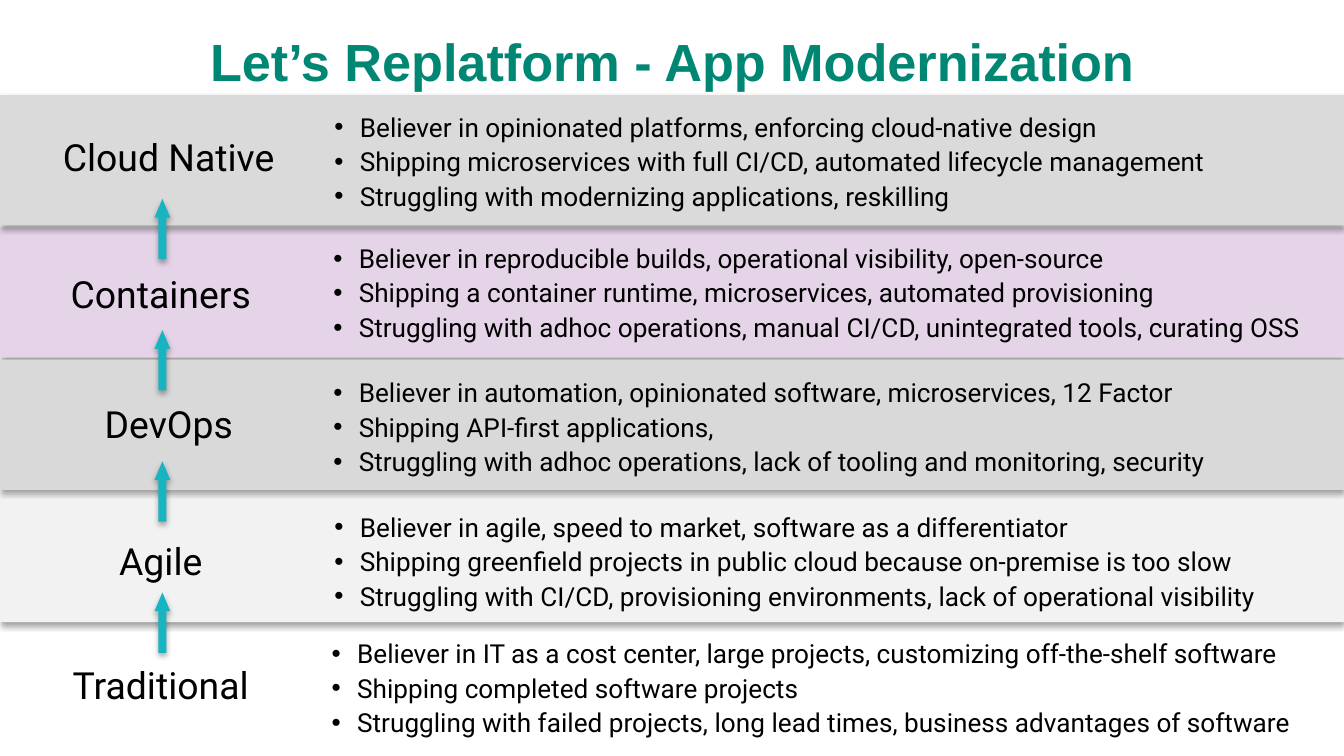
import dataclasses

import lxml.etree
import pptx
import pptx.dml.color
import pptx.enum.shapes
import pptx.enum.text
import pptx.oxml.ns
import pptx.util

Cm = pptx.util.Cm
Kind = pptx.enum.shapes.MSO_SHAPE
Align = pptx.enum.text.PP_ALIGN
COMPARE = 4  # layout with a title and four body placeholders


@dataclasses.dataclass(frozen=True)
class Theme:
    head: str = "008774"
    text: str = "000000"
    arrow: str = "19B4C1"
    bands: tuple = ("DADADA", "E5D4E8", "D9D9D9", "F2F2F2")
    head_font: str = "Arial"
    font: str = "Roboto"
    head_size: int = 28
    name_size: int = 20
    list_size: int = 14


# name, name left, name top, list left, list middle, points (lengths in cm)
STAGES = [
    ("Cloud Native", 0.51, 2.39, 6.07, 3.02, [
        "Believer in opinionated platforms, enforcing cloud-native design",
        "Shipping microservices with full CI/CD, automated lifecycle management",
        "Struggling with modernizing applications, reskilling"]),
    ("Containers", 0.36, 4.98, 6.05, 5.5, [
        "Believer in reproducible builds, operational visibility, open-source",
        "Shipping a container runtime, microservices, automated provisioning",
        "Struggling with adhoc operations, manual CI/CD, unintegrated tools, curating OSS"]),
    ("DevOps", 0.51, 7.44, 6.05, 8.04, [
        "Believer in automation, opinionated software, microservices, 12 Factor",
        "Shipping API-first applications,",
        "Struggling with adhoc operations, lack of tooling and monitoring, security"]),
    ("Agile", 0.36, 10.03, 6.07, 10.58, [
        "Believer in agile, speed to market, software as a differentiator",
        "Shipping greenfield projects in public cloud because on-premise is too slow",
        "Struggling with CI/CD, provisioning environments, lack of operational visibility"]),
    ("Traditional", 0.36, 12.37, 6.02, 12.97, [
        "Believer in IT as a cost center, large projects, customizing off-the-shelf software",
        "Shipping completed software projects",
        "Struggling with failed projects, long lead times, business advantages of software"]),
]


def tone(code):
    return pptx.dml.color.RGBColor.from_string(code)


def node(parent, tag, **attrs):
    return lxml.etree.SubElement(parent, pptx.oxml.ns.qn(tag), **attrs)


def put(para, text, font, size, color, bold=False, align=Align.LEFT):
    para.alignment = align
    run = para.add_run()
    run.text = text
    run.font.name = font
    run.font.size = pptx.util.Pt(size)
    run.font.bold = bold
    run.font.color.rgb = tone(color)


def shade(shape):
    """Replace the theme shadow by a soft one straight below."""
    shape.shadow.inherit = False
    effect = shape._element.spPr.find(pptx.oxml.ns.qn("a:effectLst"))
    drop = node(effect, "a:outerShdw", blurRad="39400", dist="22900",
                dir="5400000", rotWithShape="0")
    color = node(drop, "a:srgbClr", val="000000")
    node(color, "a:alpha", val="35000")


def bullet(para):
    props = para._p.get_or_add_pPr()
    props.set("marL", str(Cm(0.48)))
    props.set("indent", str(-Cm(0.48)))
    node(props, "a:buFont", typeface="Arial")
    node(props, "a:buChar", char="•")
    para.line_spacing = 1.1
    para.space_before = pptx.util.Pt(0)


class Deck:
    """Holds the theme and the slide being drawn."""

    def __init__(self, theme):
        self.theme = theme
        self.file = pptx.Presentation()
        self.file.slide_width, self.file.slide_height = Cm(25.4), Cm(14.29)
        self.slide = self.file.slides.add_slide(self.file.slide_layouts[COMPARE])
        self.spare = [hold for hold in self.slide.placeholders
                      if 1 <= hold.placeholder_format.idx <= 4]

    def place(self, box, left, top, width, height):
        """Move a text shape to the front and set its frame."""
        self.slide.shapes._spTree.append(box._element)
        box.left, box.top = Cm(left), Cm(top)
        box.width, box.height = Cm(width), Cm(height)
        frame = box.text_frame
        frame.word_wrap = True
        frame.auto_size = pptx.enum.text.MSO_AUTO_SIZE.NONE
        frame.vertical_anchor = pptx.enum.text.MSO_ANCHOR.MIDDLE
        frame.margin_left = frame.margin_right = Cm(0.25)
        frame.margin_top = frame.margin_bottom = Cm(0.13)
        return frame

    def blank(self):
        return self.slide.shapes.add_textbox(0, 0, 0, 0)

    def title(self, text):
        frame = self.place(self.slide.shapes.title, 0, 0.38, 25.4, 1.32)
        frame.margin_top, frame.margin_bottom = Cm(0.22), 0
        put(frame.paragraphs[0], text, font=self.theme.head_font,
            size=self.theme.head_size, color=self.theme.head,
            bold=True, align=Align.CENTER)

    def block(self, kind, left, top, width, height, color):
        shape = self.slide.shapes.add_shape(
            kind, Cm(left), Cm(top), Cm(width), Cm(height))
        shape.fill.solid()
        shape.fill.fore_color.rgb = tone(color)
        shape.line.fill.background()
        shade(shape)
        return shape

    def arrow(self, top):
        shape = self.block(Kind.UP_ARROW, 2.92, top, 0.3, 1.14, self.theme.arrow)
        shape.adjustments[0] = 0.5
        shape.adjustments[1] = 1.18

    def name(self, text, left, top):
        frame = self.place(self.blank(), left, top, 5.36, 1.14)
        put(frame.paragraphs[0], text, font=self.theme.font,
            size=self.theme.name_size, color=self.theme.text,
            align=Align.CENTER)

    def points(self, lines, left, middle):
        """Fill a body placeholder, or a text box once none is left."""
        box = self.spare.pop(0) if self.spare else self.blank()
        frame = self.place(box, left, middle - 0.99, 19.2, 1.98)
        for count, line in enumerate(lines):
            para = frame.add_paragraph() if count else frame.paragraphs[0]
            bullet(para)
            put(para, line, font=self.theme.font,
                size=self.theme.list_size, color=self.theme.text)


def main():
    deck = Deck(Theme())
    for row in (1, 3, 2, 0):  # later bands cast shadows over earlier ones
        deck.block(Kind.RECTANGLE, 0, 1.8 + 2.5 * row, 25.4, 2.46,
                   deck.theme.bands[row])
    for name, left, top, edge, middle, lines in STAGES:
        deck.name(name, left, top)
        deck.points(lines, edge, middle)
    for row in range(len(STAGES) - 1):
        deck.arrow(3.76 + 2.48 * row)
    deck.title("Let’s Replatform - App Modernization")
    deck.file.save("out.pptx")


if __name__ == "__main__":
    main()
